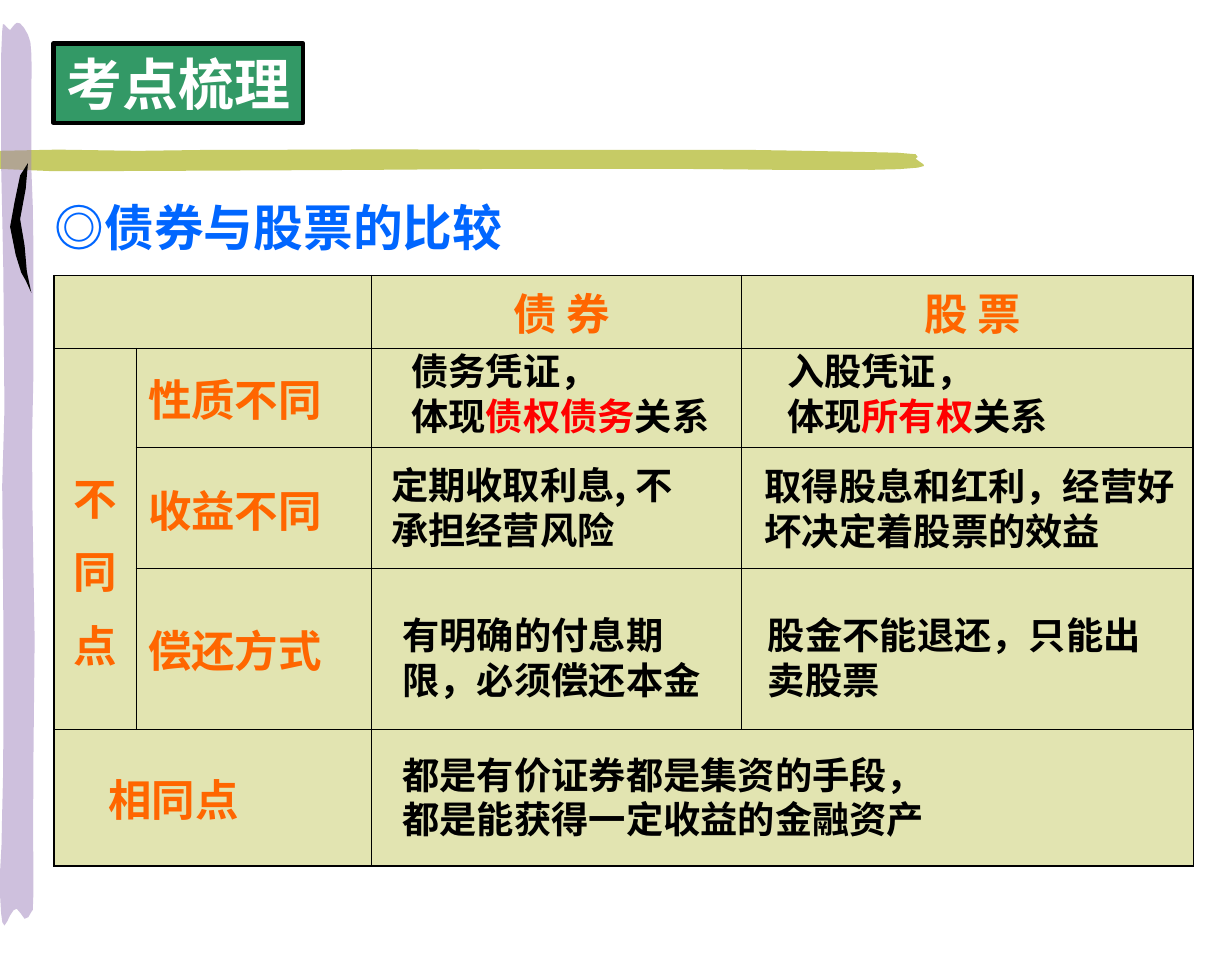
import dataclasses

import lxml.etree
import pptx
import pptx.dml.color
import pptx.enum.shapes
import pptx.enum.text
import pptx.oxml.ns
import pptx.util

Pt = pptx.util.Pt
Align = pptx.enum.text.PP_ALIGN
Anchor = pptx.enum.text.MSO_ANCHOR
qn = pptx.oxml.ns.qn


@dataclasses.dataclass(frozen=True)
class Theme:
    """Colours, fonts and type sizes of the slide."""
    olive: str = "C6CB65"
    violet: str = "9F83BD"
    green: str = "339966"
    blue: str = "0066FF"
    orange: str = "FF6600"
    red: str = "FF0000"
    black: str = "000000"
    white: str = "FFFFFF"
    chinese: str = "Noto Sans CJK SC"
    latin: str = "Arial"
    serif: str = "Times New Roman"
    title: int = 36
    heading: int = 32
    label: int = 28
    body: int = 24
    inset: float = 7.9


def rgb(code):
    """Turn a hex code into a colour."""
    return pptx.dml.color.RGBColor.from_string(code)


def paint(fill, code, alpha=100):
    """Fill with one colour at the given opacity in percent."""
    fill.solid()
    fill.fore_color.rgb = rgb(code)
    if alpha < 100:
        colour = fill._xPr.find(qn("a:solidFill")).find(qn("a:srgbClr"))
        lxml.etree.SubElement(colour, qn("a:alpha"), val=str(alpha * 1000))


def write(frame, *lines, size, colour, font, east=None, align=Align.LEFT, gap=0, leading=None):
    """Write lines, each a string or a list of (text, format changes)."""
    for index, line in enumerate(lines):
        para = frame.paragraphs[0] if index == 0 else frame.add_paragraph()
        para.alignment = align
        para._p.get_or_add_pPr().set("hangingPunct", "0")
        if index:
            para.space_before = Pt(gap)
        if leading:
            para.line_spacing = Pt(leading)
        for text, changes in [(line, {})] if isinstance(line, str) else line:
            span = para.add_run()
            span.text = text
            span.font.size = Pt(size)
            span.font.bold = True
            span.font.color.rgb = rgb(changes.get("colour", colour))
            span.font.name = changes.get("font", font)
            face = changes.get("font", east or font)
            lxml.etree.SubElement(span._r.get_or_add_rPr(), qn("a:ea"), typeface=face)


def outline_points(start, segments, steps=2):
    """Trace lines (2 numbers) and cubic curves (6 numbers)."""
    points = [start]
    for segment in segments:
        if len(segment) == 2:
            points.append(segment)
            continue
        ends = [points[-1], segment[:2], segment[2:4], segment[4:]]
        for step in range(1, steps + 1):
            t = step / steps
            weights = ((1 - t) ** 3, 3 * t * (1 - t) ** 2, 3 * t * t * (1 - t), t ** 3)
            points.append(tuple(sum(w * end[axis] for w, end in zip(weights, ends)) for axis in (0, 1)))
    return points


class Painter:
    """Draws the elements of one page in one theme."""

    def __init__(self, page, theme):
        """Keep the page and the theme."""
        self.page, self.theme = page, theme

    def stroke(self, start, segments, colour, alpha=100):
        """Draw a brush stroke given in units of 0.72 points."""
        unit = Pt(0.72)
        points = [(x * unit, y * unit) for x, y in outline_points(start, segments)]
        builder = self.page.shapes.build_freeform(*points[0], scale=1.0)
        builder.add_line_segments(points[1:], close=True)
        shape = builder.convert_to_shape()
        shape.shadow.inherit = False
        paint(shape.fill, colour, alpha)
        shape.line.fill.background()

    def note(self, left, top, width, height, *lines, anchor=Anchor.TOP, **style):
        """Place a wrapped text box."""
        box = self.page.shapes.add_textbox(Pt(left), Pt(top), Pt(width), Pt(height))
        frame = box.text_frame
        frame.word_wrap = True
        frame.vertical_anchor = anchor
        frame.margin_left = frame.margin_right = Pt(self.theme.inset)
        frame.margin_top = frame.margin_bottom = Pt(4.3)
        look = dict(size=self.theme.body, colour=self.theme.black, font=self.theme.chinese, leading=28.7)
        write(frame, *lines, **{**look, **style})

    def badge(self, left, top, width, height, text):
        """Place the framed title."""
        theme = self.theme
        shape = self.page.shapes.add_shape(
            pptx.enum.shapes.MSO_SHAPE.RECTANGLE, Pt(left), Pt(top), Pt(width), Pt(height))
        shape.shadow.inherit = False
        paint(shape.fill, theme.green)
        shape.line.color.rgb = rgb(theme.black)
        shape.line.width = Pt(3)
        frame = shape.text_frame
        frame.word_wrap = False
        frame.vertical_anchor = Anchor.MIDDLE
        frame.margin_left = frame.margin_right = frame.margin_top = frame.margin_bottom = 0
        write(frame, text, size=theme.title, colour=theme.white, font=theme.serif,
              east=theme.chinese, align=Align.CENTER)

    def border(self, cell, edges):
        """Rule the four sides of a cell; outer edges are heavier."""
        for side in "LRTB":
            width = Pt(1.08 if side in edges else 0.45)
            line = lxml.etree.SubElement(cell._tc.get_or_add_tcPr(), qn("a:ln" + side), w=str(width))
            solid = lxml.etree.SubElement(line, qn("a:solidFill"))
            lxml.etree.SubElement(solid, qn("a:srgbClr"), val=self.theme.black)

    def grid(self, left, top, columns, rows, merges):
        """Place the ruled, tinted table."""
        table = self.page.shapes.add_table(
            len(rows), len(columns), Pt(left), Pt(top), Pt(sum(columns)), Pt(sum(rows))).table
        table.first_row = table.horz_banding = False
        for column, width in zip(table.columns, columns):
            column.width = Pt(width)
        for row, height in zip(table.rows, rows):
            row.height = Pt(height)
        for r in range(len(rows)):
            for c in range(len(columns)):
                cell = table.cell(r, c)
                outer = {"L": c == 0, "R": c == len(columns) - 1, "T": r == 0, "B": r == len(rows) - 1}
                self.border(cell, [side for side, heavy in outer.items() if heavy])
                paint(cell.fill, self.theme.olive, 50)
        for first, last in merges:
            table.cell(*first).merge(table.cell(*last))
        return table

    def label(self, cell, *lines, indent=0, drop=0, **style):
        """Write an orange label into a cell."""
        cell.vertical_anchor = Anchor.MIDDLE
        cell.margin_left, cell.margin_right = Pt(self.theme.inset + indent), Pt(self.theme.inset)
        cell.margin_top, cell.margin_bottom = Pt(2.5 + drop), Pt(2.5)
        write(cell.text_frame, *lines, size=self.theme.label, colour=self.theme.orange,
              font=self.theme.chinese, **style)


BAND = [
    (701, 135, 748, 135, 774, 136), (799, 136, 811, 137, 819, 138), (826, 140, 817, 141, 819, 142),
    (820, 144, 826, 146, 826, 147), (826, 148, 829, 149, 821, 150), (813, 151, 798, 152, 778, 152),
    (758, 152, 731, 152, 701, 152), (670, 152, 637, 151, 596, 151), (556, 151, 501, 151, 457, 151),
    (412, 151, 384, 152, 329, 152), (273, 152, 178, 153, 123, 153), (67, 153, 18, 154, -3, 151),
    (-3, 135), (18, 132, 80, 135, 123, 135), (166, 134, 204, 134, 255, 134),
    (307, 133, 383, 134, 431, 134), (478, 134, 501, 134, 540, 134), (578, 134, 624, 134, 663, 134)]
PILLAR = [
    (3, 620, 3, 591, 3, 556), (3, 520, 2, 465, 2, 434), (2, 402, 4, 398, 4, 366),
    (4, 334, 3, 279, 3, 243), (2, 206, 2, 175, 1, 147), (1, 119, 1, 95, 1, 75),
    (1, 55, 1, 37, 2, 28), (2, 19, 3, 22, 4, 22), (5, 22, 7, 27, 9, 27),
    (10, 27, 11, 23, 13, 22), (14, 21, 16, 19, 18, 21), (20, 22, 23, 27, 25, 31),
    (27, 36, 28, 39, 28, 47), (29, 56, 28, 65, 28, 82), (28, 99, 28, 125, 28, 149),
    (29, 172, 30, 195, 30, 225), (30, 255, 30, 293, 30, 331), (29, 369, 28, 411, 29, 451),
    (29, 491, 31, 535, 31, 572), (31, 609, 30, 636, 30, 673), (29, 711, 30, 773, 30, 797),
    (30, 821, 29, 812, 28, 816), (27, 820, 24, 822, 22, 822), (20, 821, 17, 813, 15, 813),
    (13, 812, 11, 816, 9, 819), (7, 821, 6, 828, 4, 828), (3, 827, 1, 825, 1, 817),
    (0, 810, 0, 796, 0, 781), (1, 766, 2, 748, 2, 726), (3, 704, 3, 677, 3, 648)]
SLIVER = [(23, 169), (18, 196), (22, 220), (24, 243), (28, 262), (23, 251), (19, 244),
          (14, 228), (9, 203), (13, 181), (18, 157)]


def main():
    """Build and save the slide."""
    theme = Theme()
    deck = pptx.Presentation()
    deck.slide_width, deck.slide_height = Pt(793.44), Pt(623.52)
    painter = Painter(deck.slides.add_slide(deck.slide_layouts[6]), theme)

    painter.stroke((663, 134), BAND, theme.olive)
    painter.stroke((3, 648), PILLAR, theme.violet, 50)
    painter.stroke((25, 146), SLIVER, theme.black)
    painter.note(27.4, 94.2, 389.5, 103.7, [("◎", {"font": theme.latin}), ("债券与股票的比较", {})],
                 anchor=Anchor.MIDDLE, size=theme.heading, colour=theme.blue, leading=None)

    table = painter.grid(34.9, 177.5, [52.6, 151.9, 238.1, 290.9], [46.8, 64.1, 77.8, 103.7, 87.8],
                         [((0, 0), (0, 1)), ((1, 0), (3, 0)), ((4, 0), (4, 1)), ((4, 2), (4, 3))])
    for column, text in enumerate(["债 券", "股 票"], 2):
        painter.label(table.cell(0, column), text, indent=7, align=Align.CENTER)
    painter.label(table.cell(1, 0), *"不同点", drop=40, gap=7, align=Align.CENTER)
    for row, text in enumerate(["性质不同", "收益不同", "偿还方式"], 1):
        painter.label(table.cell(row, 1), text)
    painter.label(table.cell(4, 0), "相同点", indent=27)

    red = {"colour": theme.red}
    notes = [
        (257, 220.3, 229.7, "债务凭证，", [("体现", {}), ("债权债务", red), ("关系", {})]),
        (499, 220.3, 206, "入股凭证，", [("体现", {}), ("所有权", red), ("关系", {})]),
        (244, 293.8, 216, "定期收取利息, 不承担经营风险"),
        (484.6, 294.5, 284.4, "取得股息和红利，经营好坏决定着股票的效益"),
        (251.3, 390.2, 229.7, "有明确的付息期限，必须偿还本金"),
        (486.7, 390.2, 269.3, "股金不能退还，只能出卖股票"),
        (251.3, 480.2, 403.2, "都是有价证券都是集资的手段，", "都是能获得一定收益的金融资产")]
    for left, top, width, *lines in notes:
        painter.note(left, top, width, 65.5, *lines)
    painter.badge(34.6, 28.1, 160.6, 51.1, "考点梳理")
    deck.save("out.pptx")


if __name__ == "__main__":
    main()
